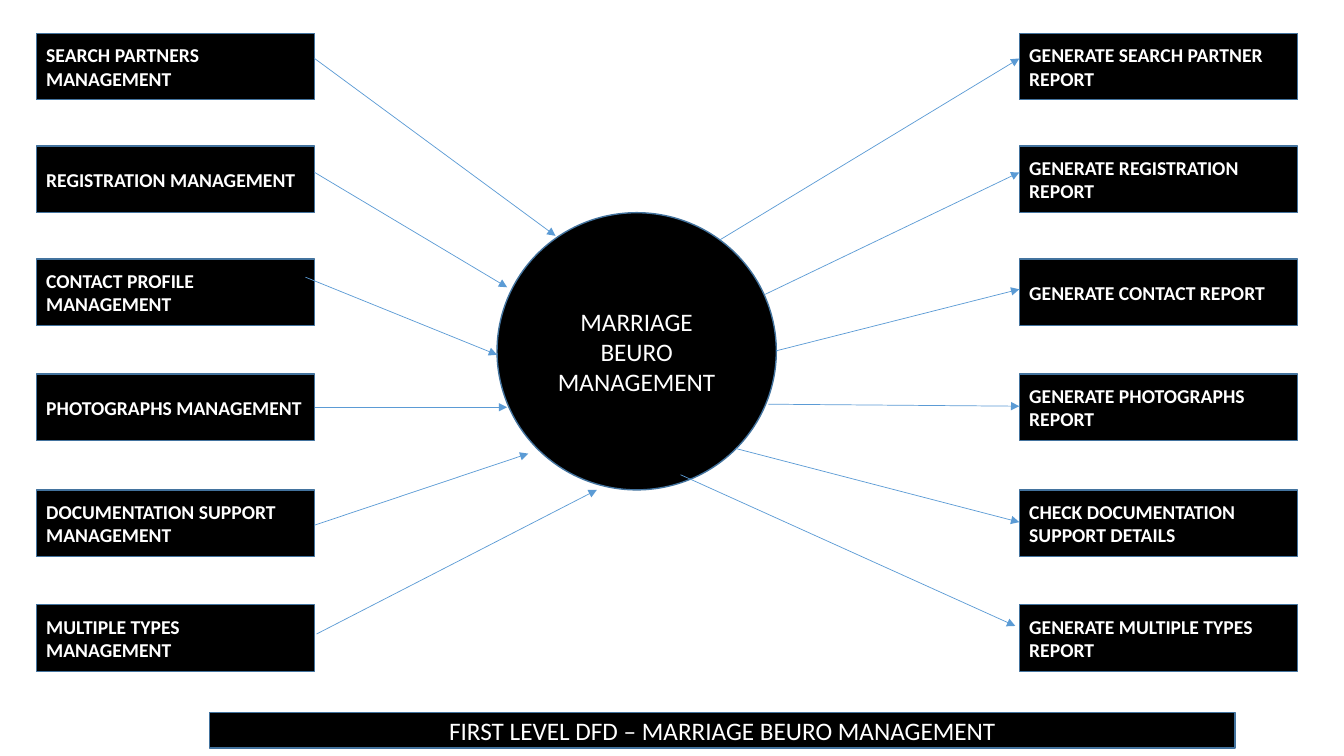
from dataclasses import dataclass

from lxml import etree
from pptx import Presentation
from pptx.dml.color import RGBColor
from pptx.enum.shapes import MSO_CONNECTOR, MSO_SHAPE
from pptx.enum.text import MSO_ANCHOR, PP_ALIGN
from pptx.oxml.ns import qn
from pptx.slide import Slide
from pptx.util import Inches, Pt

RECTANGLE = MSO_SHAPE.RECTANGLE
CIRCLE = MSO_SHAPE.FLOWCHART_CONNECTOR
STRAIGHT = MSO_CONNECTOR.STRAIGHT
MIDDLE = MSO_ANCHOR.MIDDLE
LEFT, CENTER = PP_ALIGN.LEFT, PP_ALIGN.CENTER


@dataclass(frozen=True)
class Theme:
    """Colours, font and sizes of the slide."""
    fill: RGBColor = RGBColor(0x00, 0x00, 0x00)
    outline: RGBColor = RGBColor(0x43, 0x73, 0x9E)
    arrow: RGBColor = RGBColor(0x5B, 0x9B, 0xD5)
    text: RGBColor = RGBColor(0xFF, 0xFF, 0xFF)
    font: str = "Calibri"
    process_size: int = 14
    title_size: int = 18
    outline_width: float = 1
    arrow_width: float = 0.5


@dataclass(frozen=True)
class Area:
    """Position and size in inches."""
    left: float
    top: float
    width: float
    height: float


@dataclass(frozen=True)
class Flow:
    """A process label and the ends of its arrow, in inches."""
    label: str
    start: tuple[float, float]
    end: tuple[float, float]


THEME = Theme()
BOX_WIDTH, BOX_HEIGHT = 2.76, 0.66
INPUT_LEFT, OUTPUT_LEFT = 0.36, 10.11
ROW_TOPS = (0.33, 1.45, 2.57, 3.71, 4.86, 6.0)
HUB = Area(4.93, 2.11, 2.77, 2.75)
CAPTION = Area(2.08, 7.07, 10.17, 0.35)

INPUTS = (
    Flow("SEARCH PARTNERS MANAGEMENT", (3.12, 0.58), (5.51, 2.34)),
    Flow("REGISTRATION MANAGEMENT", (3.12, 1.71), (5.03, 2.85)),
    Flow("CONTACT PROFILE MANAGEMENT", (3.03, 2.75), (4.93, 3.52)),
    Flow("PHOTOGRAPHS MANAGEMENT", (3.12, 4.04), (5.03, 4.04)),
    Flow("DOCUMENTATION SUPPORT MANAGEMENT", (3.12, 5.21), (5.24, 4.5)),
    Flow("MULTIPLE TYPES MANAGEMENT", (3.14, 6.29), (5.92, 4.86)),
)
OUTPUTS = (
    Flow("GENERATE SEARCH PARTNER REPORT", (7.14, 2.38), (10.11, 0.58)),
    Flow("GENERATE REGISTRATION REPORT", (7.59, 2.92), (10.11, 1.71)),
    Flow("GENERATE CONTACT REPORT", (7.7, 3.48), (10.11, 2.87)),
    Flow("GENERATE PHOTOGRAPHS REPORT", (7.62, 4.01), (10.11, 4.03)),
    Flow("CHECK DOCUMENTATION SUPPORT DETAILS", (7.3, 4.45), (10.11, 5.18)),
    Flow("GENERATE MULTIPLE TYPES REPORT", (6.75, 4.71), (10.07, 6.21)),
)


def write_text(shape, text: str, *, size: int, bold: bool = False,
               align: PP_ALIGN = CENTER) -> None:
    """Write one formatted paragraph into a shape."""
    frame = shape.text_frame
    frame.word_wrap = True
    frame.vertical_anchor = MIDDLE
    para = frame.paragraphs[0]
    para.alignment = align
    span = para.add_run()
    span.text = text
    span.font.name = THEME.font
    span.font.size = Pt(size)
    span.font.bold = bold
    span.font.color.rgb = THEME.text


def add_box(page: Slide, kind: MSO_SHAPE, area: Area):
    """Add a filled, outlined shape and return it."""
    box = page.shapes.add_shape(kind, Inches(area.left), Inches(area.top),
                                Inches(area.width), Inches(area.height))
    box.shadow.inherit = False
    box.fill.solid()
    box.fill.fore_color.rgb = THEME.fill
    box.line.color.rgb = THEME.outline
    box.line.width = Pt(THEME.outline_width)
    return box


def add_arrow(page: Slide, flow: Flow) -> None:
    """Add the arrow of a flow, with a triangle at its end."""
    ends = [Inches(value) for value in (*flow.start, *flow.end)]
    arrow = page.shapes.add_connector(STRAIGHT, *ends)
    arrow.line.color.rgb = THEME.arrow
    arrow.line.width = Pt(THEME.arrow_width)
    etree.SubElement(arrow.line._get_or_add_ln(), qn("a:tailEnd"), type="triangle")
    etree.SubElement(arrow._element.spPr, qn("a:effectLst"))


def add_column(page: Slide, flows: tuple[Flow, ...], left: float) -> None:
    """Add one column of process boxes."""
    for flow, top in zip(flows, ROW_TOPS):
        box = add_box(page, RECTANGLE, Area(left, top, BOX_WIDTH, BOX_HEIGHT))
        write_text(box, flow.label, size=THEME.process_size, bold=True, align=LEFT)


def main() -> None:
    """Build and save the data flow diagram."""
    deck = Presentation()
    deck.slide_width, deck.slide_height = Inches(13.33), Inches(7.5)
    page = deck.slides.add_slide(deck.slide_layouts[6])

    add_column(page, OUTPUTS, OUTPUT_LEFT)
    add_column(page, INPUTS, INPUT_LEFT)
    hub = add_box(page, CIRCLE, HUB)
    write_text(hub, "MARRIAGE BEURO MANAGEMENT", size=THEME.title_size)
    for flow in INPUTS + OUTPUTS:
        add_arrow(page, flow)
    caption = add_box(page, RECTANGLE, CAPTION)
    write_text(caption, "FIRST LEVEL DFD – MARRIAGE BEURO MANAGEMENT",
               size=THEME.title_size)

    deck.save("out.pptx")


main()
